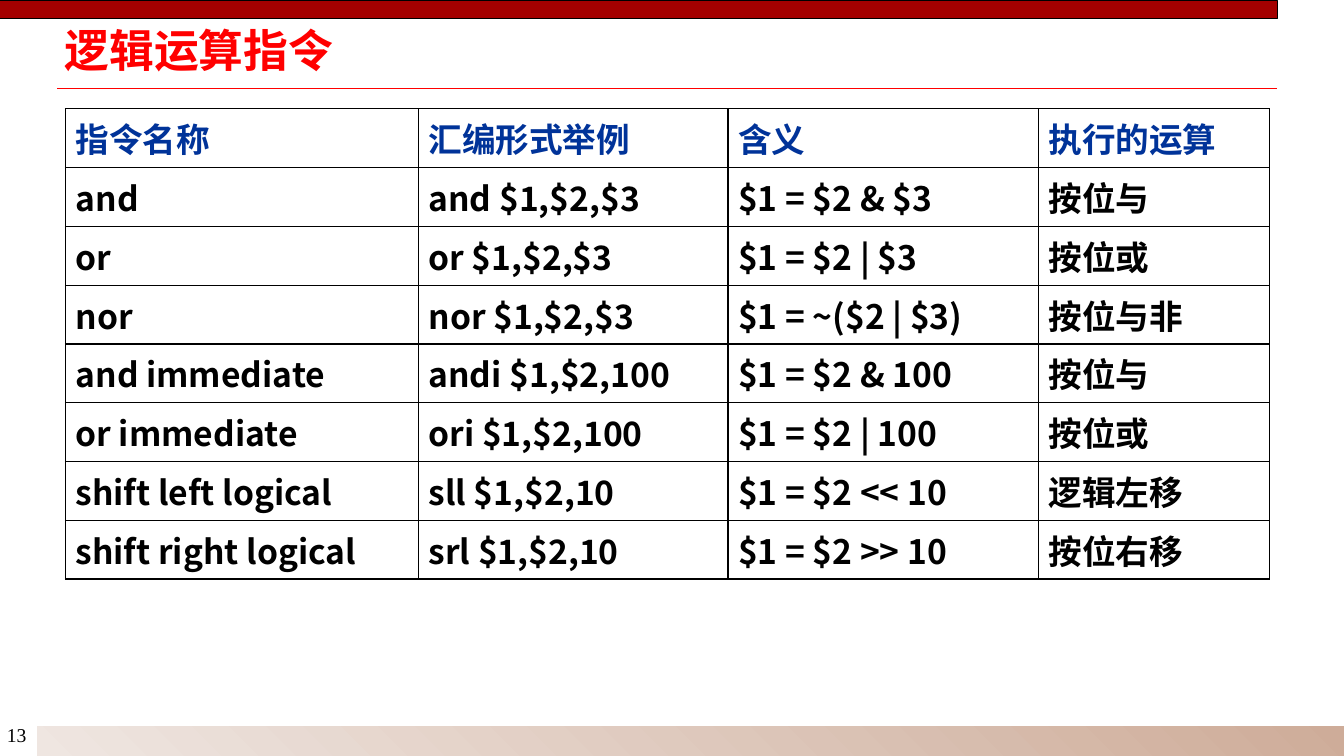
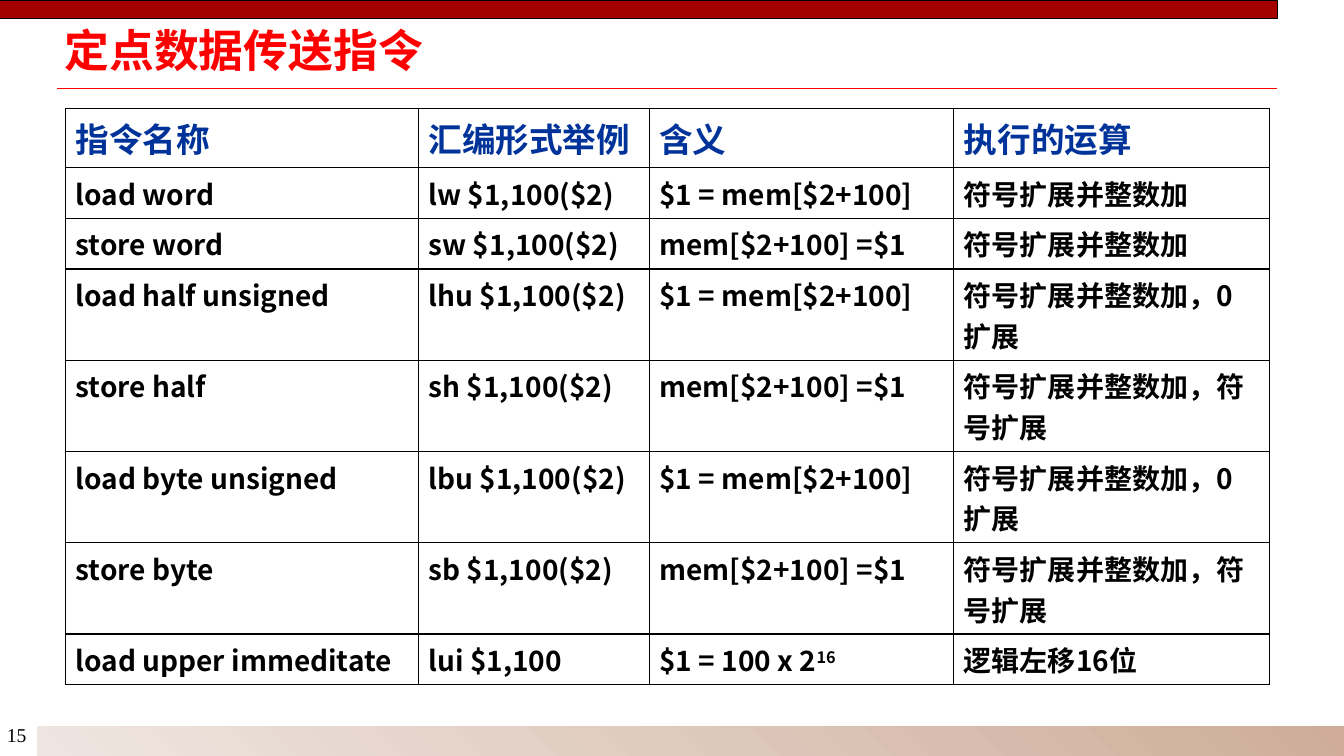
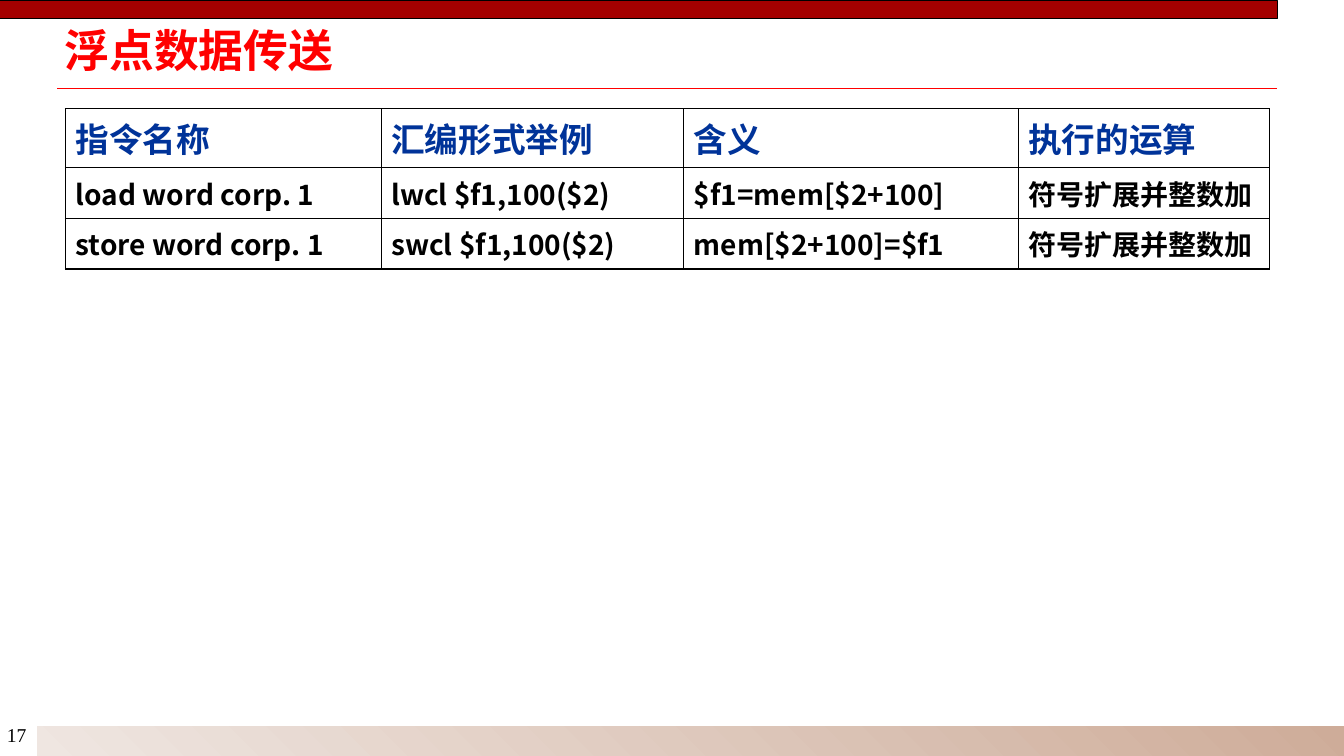
"""Build three slides of instruction tables with a shared title style, bands and page number."""
import pptx
import pptx.dml.color
import pptx.enum.shapes
import pptx.enum.text
import pptx.oxml
import pptx.oxml.ns
import pptx.util
from pptx.util import Inches

COLORS = {
    "title": "FF0000",
    "header": "003399",
    "text": "000000",
    "border": "000000",
    "paper": "FFFFFF",
    "top_bar": "A40000",
    "band_dark": "CEAC99",
    "band_light": "EFE6E1",
}
BODY_FONT = "Noto Sans CJK SC"
NUMBER_FONT = "Times New Roman"
HEADERS = ["指令名称", "汇编形式举例", "含义", "执行的运算"]
HEADER_SIZE = 24
LINE_PITCH = 1.45
CELL_PADDING = 0.1
LONGEST_LINE = 8

PAGES = [
    {
        "number": "13",
        "title": "逻辑运算指令",
        "size": 24,
        "columns": [3.5, 3.07, 3.08, 2.29],
        "rows": [
            ["and", "and $1,$2,$3", "$1 = $2 & $3", "按位与"],
            ["or", "or $1,$2,$3", "$1 = $2 | $3", "按位或"],
            ["nor", "nor $1,$2,$3", "$1 = ~($2 | $3)", "按位与非"],
            ["and immediate", "andi $1,$2,100", "$1 = $2 & 100", "按位与"],
            ["or immediate", "ori $1,$2,100", "$1 = $2 | 100", "按位或"],
            ["shift left logical", "sll $1,$2,10", "$1 = $2 << 10", "逻辑左移"],
            ["shift right logical", "srl $1,$2,10", "$1 = $2 >> 10", "按位右移"],
        ],
    },
    {
        "number": "15",
        "title": "定点数据传送指令",
        "size": 20,
        "columns": [3.5, 2.29, 3.02, 3.13],
        "rows": [
            ["load word", "lw $1,100($2)", "$1 = mem[$2+100]", "符号扩展并整数加"],
            ["store word", "sw $1,100($2)", "mem[$2+100] =$1", "符号扩展并整数加"],
            ["load half unsigned", "lhu $1,100($2)", "$1 = mem[$2+100]", "符号扩展并整数加，0扩展"],
            ["store half", "sh $1,100($2)", "mem[$2+100] =$1", "符号扩展并整数加，符号扩展"],
            ["load byte unsigned", "lbu $1,100($2)", "$1 = mem[$2+100]", "符号扩展并整数加，0扩展"],
            ["store byte", "sb $1,100($2)", "mem[$2+100] =$1", "符号扩展并整数加，符号扩展"],
            ["load upper immeditate", "lui $1,100", "$1 = 100 x 2^16", "逻辑左移16位"],
        ],
    },
    {
        "number": "17",
        "title": "浮点数据传送",
        "size": 20,
        "columns": [3.13, 3, 3.32, 2.49],
        "rows": [
            ["load word corp. 1", "lwcl $f1,100($2)", "$f1=mem[$2+100]", "符号扩展并整数加"],
            ["store word corp. 1", "swcl $f1,100($2)", "mem[$2+100]=$f1", "符号扩展并整数加"],
        ],
    },
]


def rgb(name):
    return pptx.dml.color.RGBColor.from_string(COLORS[name])


def add_span(para, text, size, color, bold=True, font=BODY_FONT):
    span = para.add_run()
    span.text = text
    span.font.size = pptx.util.Pt(size)
    span.font.bold = bold
    span.font.color.rgb = rgb(color)
    span.font.name = font
    properties = span.font._element
    east_asian = pptx.oxml.parse_xml(
        f'<a:ea {pptx.oxml.ns.nsdecls("a")} typeface="{font}"/>')
    properties.append(east_asian)
    return span


deck = pptx.Presentation()
deck.slide_width = Inches(13.33)
deck.slide_height = Inches(7.5)
title_only = deck.slide_layouts[5]
rectangle = pptx.enum.shapes.MSO_SHAPE.RECTANGLE

for page in PAGES:
    slide = deck.slides.add_slide(title_only)

    rule = slide.shapes.add_connector(
        pptx.enum.shapes.MSO_CONNECTOR.STRAIGHT,
        Inches(0.57), Inches(0.88), Inches(12.67), Inches(0.88))
    rule.line.color.rgb = rgb("title")
    rule.line.width = pptx.util.Pt(1)
    rule._element.spPr.append(
        pptx.oxml.parse_xml(f'<a:effectLst {pptx.oxml.ns.nsdecls("a")}/>'))

    band = slide.shapes.add_shape(
        rectangle, Inches(0.36), Inches(7.2), Inches(12.99), Inches(0.31))
    band.fill.gradient()
    band.fill.gradient_angle = 225
    for stop, color in zip(band.fill.gradient_stops, ["band_dark", "band_light"]):
        stop.color.rgb = rgb(color)
    top_bar = slide.shapes.add_shape(
        rectangle, Inches(0), Inches(0.01), Inches(12.67), Inches(0.17))
    top_bar.fill.solid()
    top_bar.fill.fore_color.rgb = rgb("top_bar")
    for bar, color in [(band, "paper"), (top_bar, "border")]:
        bar.line.color.rgb = rgb(color)
        bar.line.width = pptx.util.Pt(0.75)
        bar.shadow.inherit = False

    number_box = slide.shapes.add_textbox(
        Inches(-0.03), Inches(7.12), Inches(0.43), Inches(0.34))
    number_box.text_frame.word_wrap = False
    add_span(number_box.text_frame.paragraphs[0], page["number"], 14, "text",
             bold=False, font=NUMBER_FONT)

    title = slide.shapes.title
    title.left, title.top = Inches(0.57), Inches(0.27)
    title.width, title.height = Inches(8.21), Inches(0.52)
    frame = title.text_frame
    frame.margin_left = frame.margin_right = Inches(0.07)
    frame.margin_top = frame.margin_bottom = Inches(0.03)
    frame.vertical_anchor = pptx.enum.text.MSO_ANCHOR.MIDDLE
    frame.auto_size = pptx.enum.text.MSO_AUTO_SIZE.SHAPE_TO_FIT_TEXT
    para = frame.paragraphs[0]
    para.alignment = pptx.enum.text.PP_ALIGN.LEFT
    para.line_spacing = 0.87
    add_span(para, page["title"], 32, "title")

    rows = [HEADERS] + page["rows"]
    sizes = [HEADER_SIZE] + [page["size"]] * len(page["rows"])
    heights = []
    for row, size in zip(rows, sizes):
        line_count = 2 if len(row[-1]) > LONGEST_LINE else 1
        heights.append(CELL_PADDING + line_count * size * LINE_PITCH / 72)

    table = slide.shapes.add_table(
        len(rows), len(HEADERS), Inches(0.65), Inches(1.08),
        Inches(sum(page["columns"])), Inches(sum(heights))).table
    table.first_row = False
    table.horz_banding = False
    for column, width in zip(table.columns, page["columns"]):
        column.width = Inches(width)
    for row_index, row in enumerate(rows):
        table.rows[row_index].height = Inches(heights[row_index])
        size = sizes[row_index]
        color = "text" if row_index else "header"
        for column_index, text in enumerate(row):
            cell = table.cell(row_index, column_index)
            cell_properties = cell._tc.get_or_add_tcPr()
            for side in ["lnL", "lnR", "lnT", "lnB"]:
                cell_properties.append(pptx.oxml.parse_xml(
                    f'<a:{side} {pptx.oxml.ns.nsdecls("a")} w="12700"><a:solidFill>'
                    f'<a:srgbClr val="{COLORS["border"]}"/></a:solidFill></a:{side}>'))
            cell.fill.solid()
            cell.fill.fore_color.rgb = rgb("paper")
            para = cell.text_frame.paragraphs[0]
            base, _, exponent = text.partition("^")
            add_span(para, base, size, color)
            if exponent:
                raised = add_span(para, exponent, size, color)
                raised.font._element.set("baseline", "30000")

deck.save("out.pptx")
